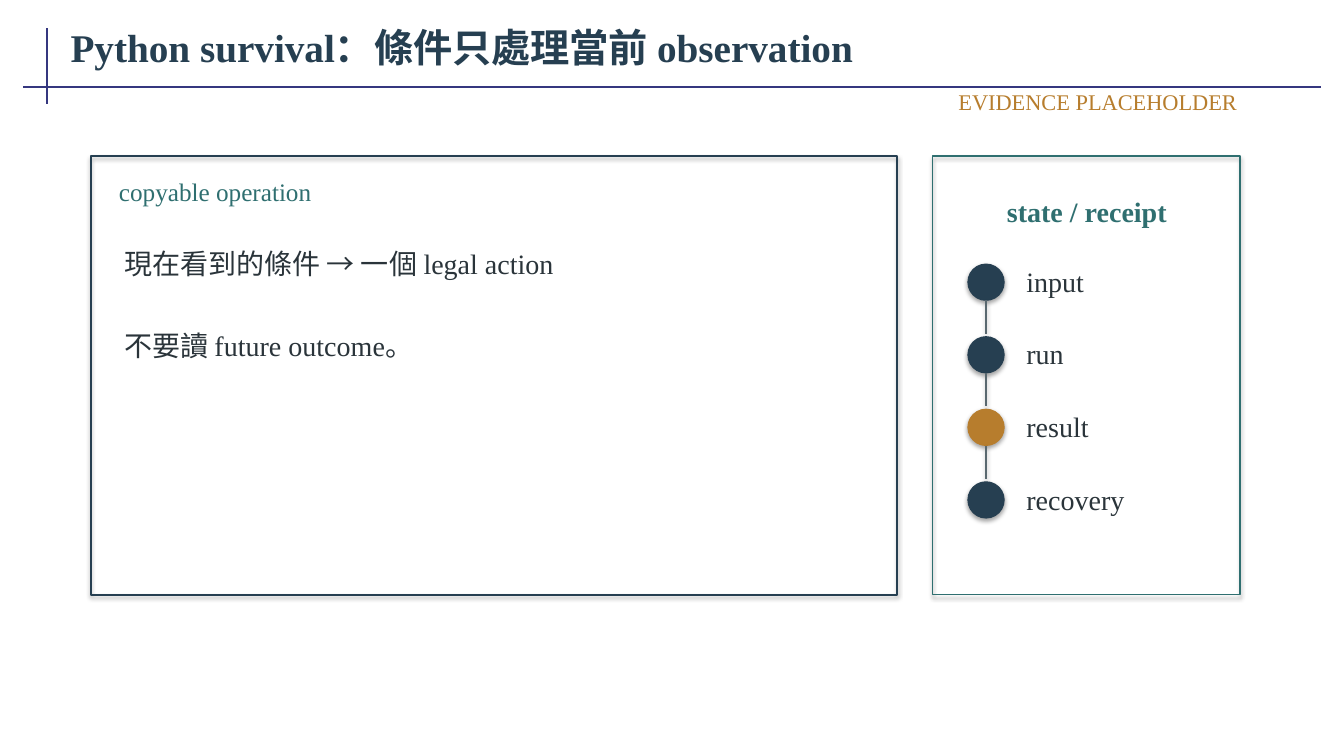
from pptx import Presentation
from pptx import util as u
from pptx.dml.color import RGBColor
from pptx.enum import shapes, text
from pptx.oxml.ns import qn
from lxml import etree

PX = 9144  # 100 px to the inch
FACE = "Times New Roman"
HUES = {"navy": "263F51", "teal": "2F6F70", "gold": "B77D2D",
        "ink": "2A343A", "grey": "59686F", "rule": "35377F"}
STEPS = [("input", "navy"), ("run", "navy"), ("result", "gold"), ("recovery", "navy")]
LINES = ["現在看到的條件 → 一個 legal action", "不要讀 future outcome。"]


def px(*nums):
    return [u.Emu(n * PX) for n in nums]


def hue(name):
    return RGBColor.from_string(HUES[name])


def label(slide, box, words, color="ink", size=20, bold=False, align="LEFT"):
    frame = slide.shapes.add_textbox(*px(*box)).text_frame
    side, edge = px(8, 4)
    look = {"word_wrap": True, "vertical_anchor": text.MSO_ANCHOR.MIDDLE,
            "margin_left": side, "margin_right": side,
            "margin_top": edge, "margin_bottom": edge}
    for key, val in look.items():
        setattr(frame, key, val)
    para = frame.paragraphs[0]
    para.alignment = getattr(text.PP_ALIGN, align)
    run = para.add_run()
    run.text = words
    for key, val in {"name": FACE, "size": u.Pt(size), "bold": bold}.items():
        setattr(run.font, key, val)
    run.font.color.rgb = hue(color)


def shape(slide, kind, box, color, width, solid=False):
    """Add a preset shape that keeps the soft shadow of the theme."""
    item = slide.shapes.add_shape(kind, *px(*box))
    if solid:
        item.fill.solid()
        item.fill.fore_color.rgb = hue(color)
    else:
        item.fill.background()
    item.line.color.rgb = hue(color)
    item.line.width = u.Pt(width)


def line(slide, ends, color, width, shadow=False):
    item = slide.shapes.add_connector(shapes.MSO_CONNECTOR.STRAIGHT, *px(*ends))
    item.line.color.rgb = hue(color)
    item.line.width = u.Pt(width)
    if not shadow:
        etree.SubElement(item._element.spPr, qn("a:effectLst"))


def header(slide, box):
    x, y, w, h = box
    line(slide, (x + 24, y, x + 24, y + h), "rule", 1.5)
    line(slide, (x, y + 58, x + w, y + 58), "rule", 1.5)
    label(slide, (x + 39, y - 13, 1249, 62),
          "Python survival：條件只處理當前 observation", "navy", 28, True)
    label(slide, (x + 892, y + 58, 320, 30),
          "EVIDENCE PLACEHOLDER", "gold", 16, align="RIGHT")


def action(slide, box):
    x, y, w, h = box
    shape(slide, shapes.MSO_SHAPE.RECTANGLE, box, "navy", 1.4)
    label(slide, (x + 20, y + 17, w - 40, 35), "copyable operation", "teal", 18)
    for i, words in enumerate(LINES):
        label(slide, (x + 25, y + 70 + 82 * i, w - 65, 72), words)


def receipt(slide, box):
    x, y, w, h = box
    dot, pitch = 36, 72
    shape(slide, shapes.MSO_SHAPE.RECTANGLE, box, "teal", 1.1)
    label(slide, (x + 23, y + 27, w - 45, 55), "state / receipt", "teal",
          bold=True, align="CENTER")
    left, mid = x + 35, x + 35 + dot // 2
    for i, (words, color) in enumerate(STEPS):
        top = y + 107 + pitch * i
        shape(slide, shapes.MSO_SHAPE.OVAL, (left, top, dot, dot), color, 0.75, True)
        label(slide, (left + 50, top - 3, 185, 40), words)
        if i < len(STEPS) - 1:
            line(slide, (mid, top + dot, mid, top + pitch - 3), "grey", 0.9, True)


def main():
    deck = Presentation()
    deck.slide_width, deck.slide_height = px(1333, 750)
    slide = deck.slides.add_slide(deck.slide_layouts[6])
    header(slide, (23, 28, 1287, 75))
    action(slide, (90, 155, 800, 435))
    receipt(slide, (925, 155, 305, 435))
    deck.save("out.pptx")


if __name__ == "__main__":
    main()
